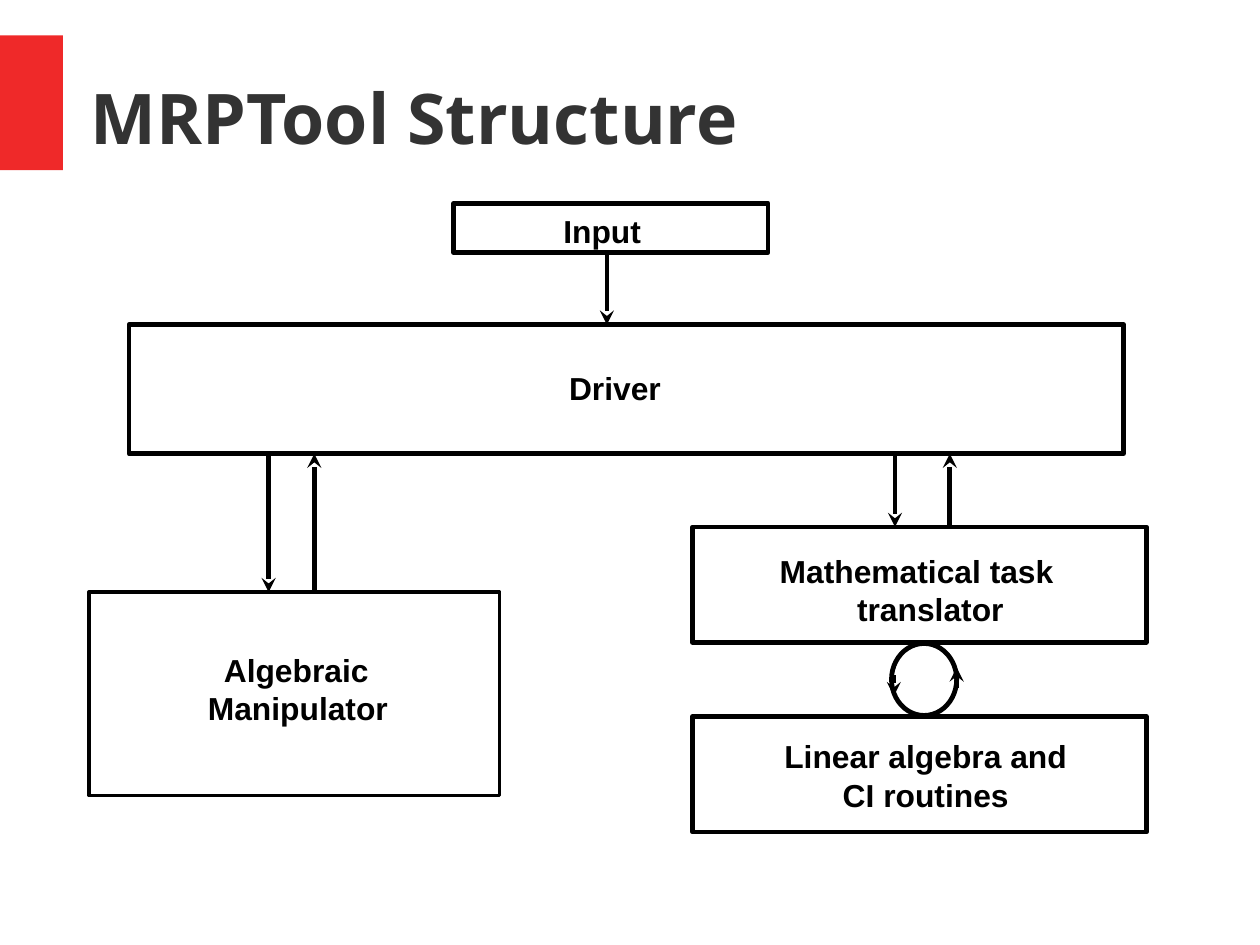
from lxml.etree import SubElement
from pptx import Presentation
from pptx.dml.color import RGBColor
from pptx.enum.shapes import MSO_CONNECTOR as Conn, MSO_SHAPE as Kind
from pptx.enum.text import MSO_ANCHOR as Anchor, PP_ALIGN as Align
from pptx.oxml.ns import qn
from pptx.util import Cm, Inches, Pt

WIDE, HIGH = Cm(28), Cm(21)
INK, RED, GREY = "000000", "EF2929", "333333"
TITLE = "MRPTool Structure"
BAR = (0, 0.31, 0.55, 1.18)
HEAD = (0.79, 0.33, 9.68, 1.38)

COL, SPAN, TALL = 6.06, 3.97, 1.01
BOXES = {
    "driver": (1.13, 2.84, 8.7, 1.13, 3),
    "algebra": (0.78, 5.18, 3.59, 1.78, 2.3),
    "linear": (COL, 6.27, SPAN, TALL, 3),
    "task": (COL, 4.61, SPAN, TALL, 3),
    "input": (3.97, 1.78, 2.75, 0.43, 3),
}
LABELS = [
    ("Driver", (4.88, 3.18, 1.08, 0.41), Align.LEFT, 0),
    ("Algebraic Manipulator", (1.72, 5.64, 1.84, 0.78), Align.LEFT, 0.14),
    ("Mathematical task translator", (6.6, 4.78, 2.84, 0.72), Align.CENTER, -0.24),
    ("Linear algebra and CI routines", (6.68, 6.4, 2.84, 0.72), Align.CENTER, 0),
    ("Input", (4.83, 1.8, 1.08, 0.41), Align.LEFT, 0),
]
FLOWS = [
    (5.31, "input", "driver"),
    (2.35, "driver", "algebra"),
    (2.75, "algebra", "driver"),
    (7.83, "driver", "task"),
    (8.31, "task", "driver"),
]
LOOP = (7.8, 5.63, 0.57, 0.63)
TICKS = [(8.37, 6.02, 5.84), (7.82, 5.91, 6.09)]


def tint(code):
    return RGBColor.from_string(code)


def place(spot):
    return [Inches(n) for n in spot]


def shape(slide, kind, spot, fill=None, line=None):
    item = slide.shapes.add_shape(kind, *place(spot))
    item.shadow.inherit = False
    if fill:
        item.fill.solid()
        item.fill.fore_color.rgb = tint(fill)
    else:
        item.fill.background()
    if line:
        item.line.color.rgb = tint(INK)
        item.line.width = Pt(line)
    else:
        item.line.fill.background()


def write(frame, text, size, face, code, align, indent=0):
    frame.text = text
    frame.word_wrap = True
    para = frame.paragraphs[0]
    para.alignment = align
    if indent:
        props = para._p.get_or_add_pPr()
        props.set("marL", str(Inches(max(0, -indent))))
        props.set("indent", str(Inches(indent)))
    font = para.runs[0].font
    font.size, font.name, font.bold = Pt(size), face, True
    font.color.rgb = tint(code)


def arrow(slide, x, start, end):
    link = slide.shapes.add_connector(Conn.STRAIGHT, *place((x, start, x, end)))
    link.line.color.rgb = tint(INK)
    link.line.width = Pt(3)
    SubElement(link.line._get_or_add_ln(), qn("a:tailEnd"), type="stealth")
    SubElement(link._element.spPr, qn("a:effectLst"))


def edges(start, end):
    top, low = BOXES[start], BOXES[end]
    if top[1] < low[1]:
        return top[1] + top[3], low[1]
    return top[1], low[1] + low[3]


def main():
    """Build the structure slide and save it."""
    deck = Presentation()
    deck.slide_width, deck.slide_height = WIDE, HIGH
    slide = deck.slides.add_slide(deck.slide_layouts[5])

    title = slide.shapes.title
    title.left, title.top, title.width, title.height = place(HEAD)
    frame = title.text_frame
    write(frame, TITLE, 44, "Open Sans", GREY, Align.LEFT)
    frame.vertical_anchor = Anchor.MIDDLE
    frame.margin_left = frame.margin_right = 0
    frame.margin_top = frame.margin_bottom = 0

    shape(slide, Kind.RECTANGLE, BAR, fill=RED)
    for *spot, line in BOXES.values():
        shape(slide, Kind.RECTANGLE, spot, line=line)
    for text, spot, align, indent in LABELS:
        label = slide.shapes.add_textbox(*place(spot))
        write(label.text_frame, text, 20, "Arial", INK, align, indent)
    for x, start, end in FLOWS:
        arrow(slide, x, *edges(start, end))
    shape(slide, Kind.OVAL, LOOP, line=3)
    for tick in TICKS:
        arrow(slide, *tick)
    deck.save("out.pptx")


if __name__ == "__main__":
    main()
